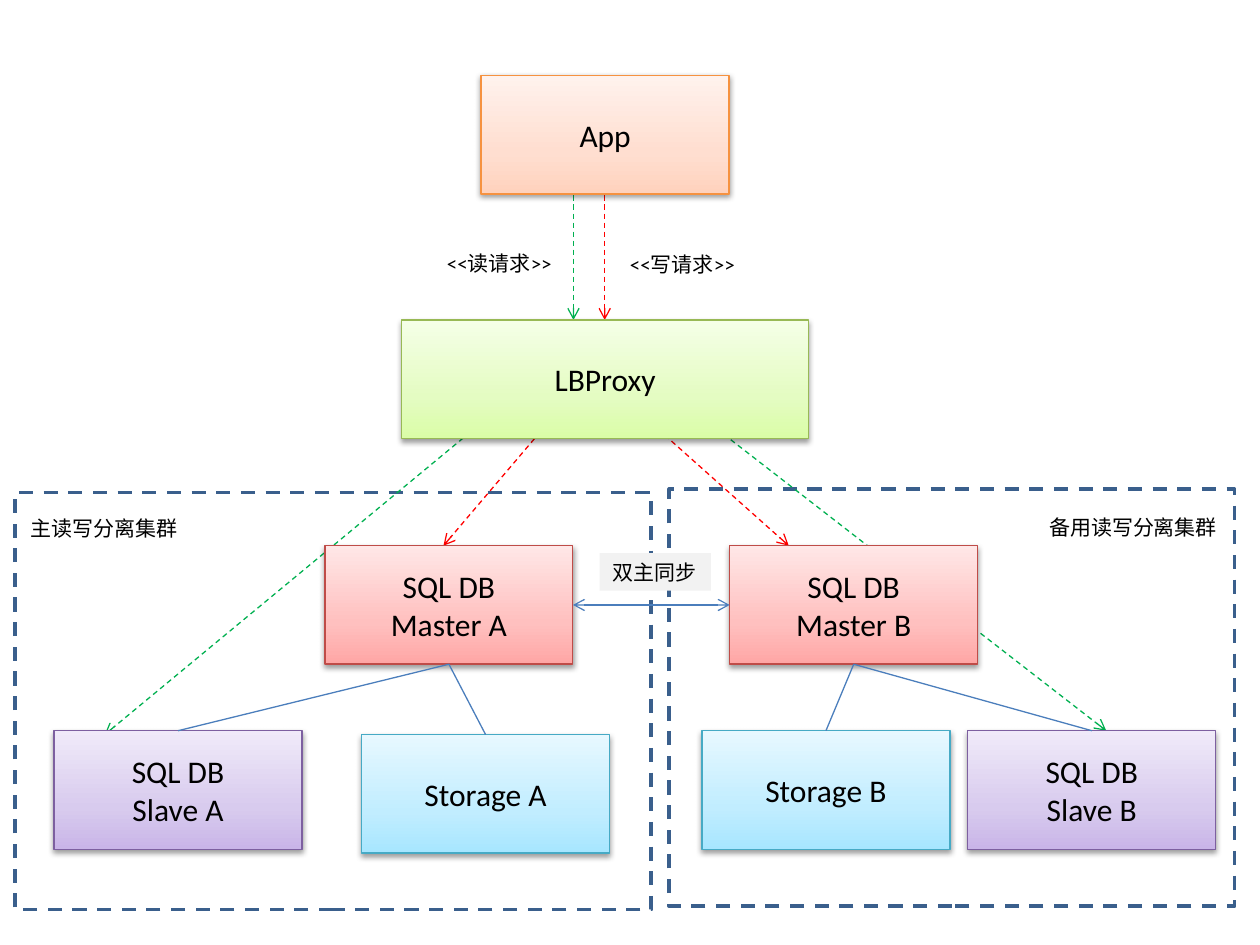
from copy import deepcopy

from pptx import Presentation
from pptx.dml.color import RGBColor
from pptx.enum.dml import MSO_LINE
from pptx.enum.shapes import MSO_CONNECTOR, MSO_SHAPE
from pptx.enum.text import MSO_ANCHOR, MSO_AUTO_SIZE, PP_ALIGN
from pptx.oxml import parse_xml
from pptx.oxml.ns import nsdecls, qn
from pptx.util import Cm, Pt

FONT = "Calibri"
BOX_WIDTH, BOX_HEIGHT = 5, 2.39
LABEL_HEIGHT = 0.76
TOP, LEFT, BOTTOM, RIGHT = range(4)  # connection sites of a rectangle

READ, WRITE, LINK = "00B050", "FF0000", "4B7EBC"

# Outline, then gradient from bottom to top
ORANGE = ("F69240", "FFD2BD", "FFDED0", "FFF2ED")
GREEN = ("98B955", "DAFDA7", "E4FCC2", "F5FFE7")
RED = ("BF4C48", "FFA6A5", "FFC0BF", "FFE7E7")
BLUE = ("46AAC5", "A7E6FF", "C1EDFF", "E7F8FF")
PURPLE = ("7D60A0", "C9B5E8", "D8CBEE", "F0EAF9")


def color(hex_code):
    return RGBColor.from_string(hex_code)


def style_line(line, hex_code, width, dashed=False):
    line.color.rgb = color(hex_code)
    line.width = Pt(width)
    if dashed:
        line.dash_style = MSO_LINE.DASH


def write(shape, text, size, align=PP_ALIGN.LEFT, anchor=MSO_ANCHOR.TOP, wrap=True):
    frame = shape.text_frame
    frame.text = text
    frame.word_wrap = wrap
    frame.vertical_anchor = anchor
    for para in frame.paragraphs:
        para.alignment = align
        para.font.name = FONT
        para.font.size = Pt(size)
        para.font.color.rgb = color("000000")


def fill_gradient(shape, colors):
    shape.fill.gradient()
    shape.fill.gradient_angle = 90
    stop_list = shape._element.spPr.find(".//" + qn("a:gsLst"))
    stop_list.append(deepcopy(stop_list[0]))
    for stop, position, hex_code in zip(shape.fill.gradient_stops, (0, 0.35, 1), colors):
        stop.position = position
        stop.color.rgb = color(hex_code)


def add_shadow(shape):
    shape.shadow.inherit = False
    effects = shape._element.spPr.find(qn("a:effectLst"))
    effects.append(parse_xml(
        f'<a:outerShdw {nsdecls("a")} blurRad="40000" dist="20000" dir="5400000"'
        ' rotWithShape="0"><a:srgbClr val="000000"><a:alpha val="38000"/>'
        "</a:srgbClr></a:outerShdw>"))


def add_rectangle(page, left, top, width, height):
    shape = page.shapes.add_shape(
        MSO_SHAPE.RECTANGLE, Cm(left), Cm(top), Cm(width), Cm(height))
    shape.shadow.inherit = False
    return shape


def add_cluster(page, left, top, width, height):
    frame = add_rectangle(page, left, top, width, height)
    frame.fill.solid()
    frame.fill.fore_color.rgb = color("FFFFFF")
    style_line(frame.line, "3A5F8C", 2, dashed=True)


def add_node(page, text, left, top, palette, width=BOX_WIDTH):
    outline, *gradient = palette
    box = add_rectangle(page, left, top, width, BOX_HEIGHT)
    fill_gradient(box, gradient)
    style_line(box.line, outline, 0.75)
    add_shadow(box)
    write(box, text, 18, PP_ALIGN.CENTER, MSO_ANCHOR.MIDDLE)
    return box


def add_label(page, text, left, top, width, fill=None, wrap=False):
    label = add_rectangle(page, left, top, width, LABEL_HEIGHT)
    label.line.fill.background()
    if fill:
        label.fill.solid()
        label.fill.fore_color.rgb = color(fill)
    else:
        label.fill.background()
    write(label, text, 12, wrap=wrap)
    label.text_frame.auto_size = MSO_AUTO_SIZE.SHAPE_TO_FIT_TEXT


def add_line(page, start, end, hex_code, dashed=False, heads=()):
    """Draw a line; heads may hold headEnd (at start) and tailEnd (at end)."""
    line = page.shapes.add_connector(
        MSO_CONNECTOR.STRAIGHT, *(Cm(value) for value in (*start, *end)))
    style_line(line.line, hex_code, 0.75, dashed)
    outline = line.line._get_or_add_ln()
    for head in heads:
        outline.append(parse_xml(f'<a:{head} {nsdecls("a")} type="arrow"/>'))
    line._element.spPr.append(parse_xml(f'<a:effectLst {nsdecls("a")}/>'))
    return line


def link(page, first, first_site, second, second_site, heads=()):
    line = add_line(page, (0, 0), (1, 1), LINK, heads=heads)
    line.begin_connect(first, first_site)
    line.end_connect(second, second_site)


def main():
    deck = Presentation()
    deck.slide_width, deck.slide_height = Cm(25.4), Cm(19.05)
    page = deck.slides.add_slide(deck.slide_layouts[6])

    add_cluster(page, 13.49, 9.86, 11.4, 8.41)
    add_cluster(page, 0.3, 9.93, 12.83, 8.41)

    requests = [
        ((11.56, 3.94), (11.56, 6.45), READ),
        ((12.19, 3.94), (12.19, 6.45), WRITE),
        ((10.74, 7.67), (2.11, 14.81), READ),
        ((12.07, 7.32), (8.94, 11), WRITE),
        ((13.13, 8.53), (15.9, 11), WRITE),
        ((14.3, 8.53), (22.3, 14.73), READ),
    ]
    for start, end, hex_code in requests:
        add_line(page, start, end, hex_code, dashed=True, heads=["tailEnd"])

    add_node(page, "App", 9.7, 1.52, ORANGE)
    add_node(page, "LBProxy", 8.1, 6.45, GREEN, width=8.2)

    clusters = [
        ("A", 6.55, (1.09, 14.73), (7.29, 14.81)),
        ("B", 14.71, (19.51, 14.73), (14.15, 14.73)),
    ]
    masters = []
    for name, master_left, slave_at, storage_at in clusters:
        master = add_node(page, f"SQL DB\nMaster {name}", master_left, 11, RED)
        slave = add_node(page, f"SQL DB\nSlave {name}", *slave_at, PURPLE)
        storage = add_node(page, f"Storage {name}", *storage_at, BLUE)
        for child in (slave, storage):
            link(page, master, BOTTOM, child, TOP)
        masters.append(master)
    link(page, masters[0], RIGHT, masters[1], LEFT, heads=["headEnd", "tailEnd"])

    add_label(page, "<<读请求>>", 8.76, 4.93, 2.64, wrap=True)
    add_label(page, "<<写请求>>", 12.45, 4.95, 2.64, wrap=True)
    add_label(page, "主读写分离集群", 0.36, 10.26, 3.5)
    add_label(page, "备用读写分离集群", 20.9, 10.24, 3.94)
    add_label(page, "双主同步", 12.09, 11.15, 2.24, fill="F2F2F2")

    deck.save("out.pptx")


if __name__ == "__main__":
    main()
